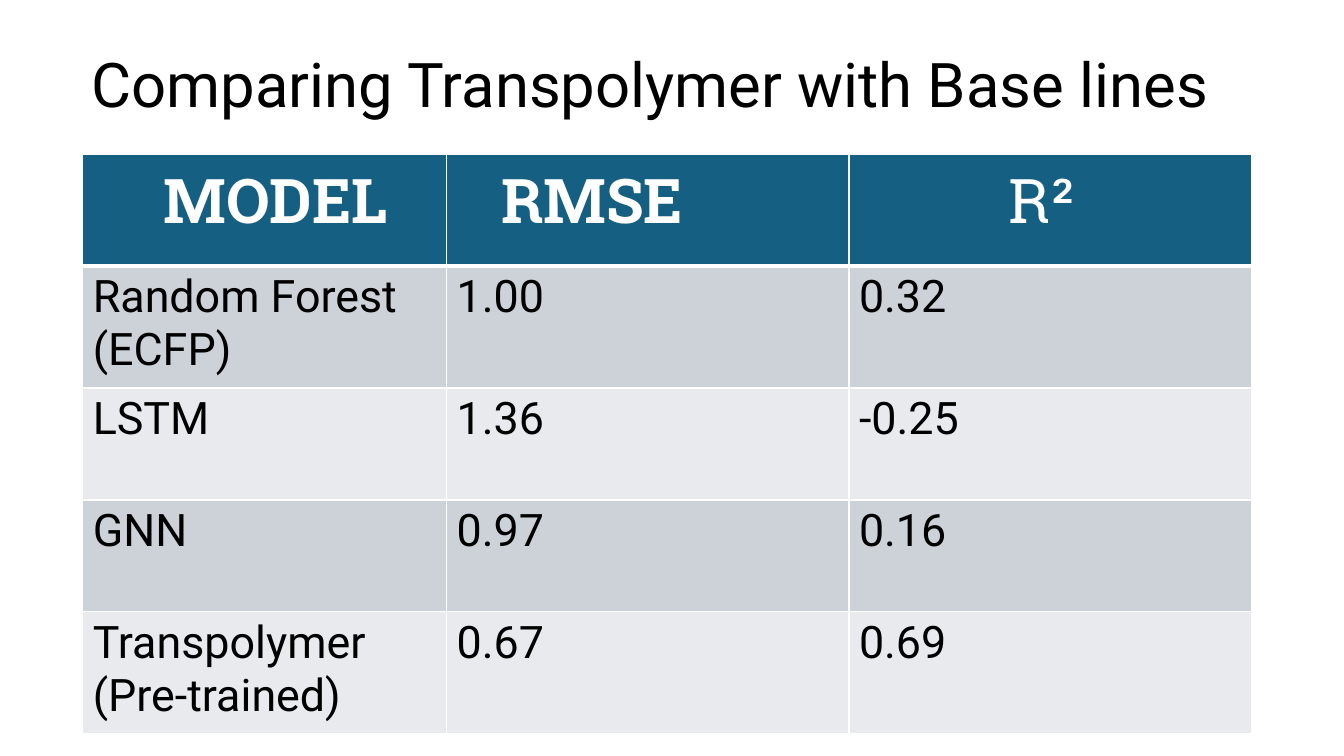
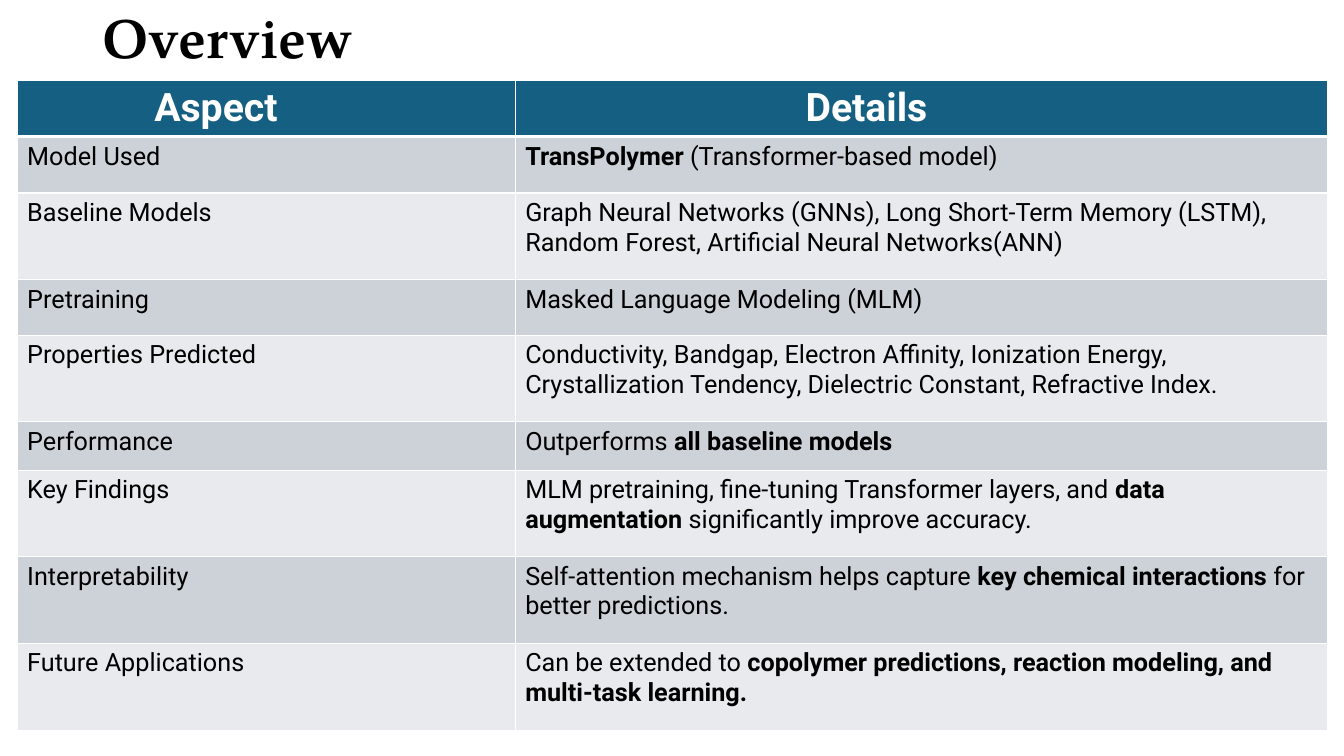
import pptx
import pptx.dml.color
import pptx.enum.text
import pptx.oxml
import pptx.oxml.ns
import pptx.util

Inches = pptx.util.Inches
Pt = pptx.util.Pt
RGBColor = pptx.dml.color.RGBColor

BLACK = RGBColor(0x00, 0x00, 0x00)
WHITE = RGBColor(0xFF, 0xFF, 0xFF)
HEADER_BLUE = RGBColor(0x15, 0x60, 0x82)
BANDS = (RGBColor(0xCC, 0xD2, 0xD8), RGBColor(0xE8, 0xEA, 0xED))
BODY_FONT = "Roboto"
SLAB_FONT = "Roboto Slab"
SERIF_FONT = "TeX Gyre Pagella"


class Deck:
    """Holds the shared style and the current slide."""

    def __init__(self):
        self.presentation = pptx.Presentation()
        self.presentation.slide_width = Inches(13.33)
        self.presentation.slide_height = Inches(7.5)
        self.slide = None

    def set_format(self, target, values):
        for attribute, value in values.items():
            setattr(target, attribute, value)

    def add_text(self, frame, text, size, color, font=BODY_FONT, bold=False):
        for index, line in enumerate(text.split("\n")):
            paragraph = frame.add_paragraph() if index else frame.paragraphs[0]
            for position, part in enumerate(line.split("**")):
                if part:
                    run = paragraph.add_run()
                    run.text = part
                    self.set_format(run.font, {
                        "name": font, "size": Pt(size),
                        "bold": bold or position % 2 == 1})
                    run.font.color.rgb = color

    def add_titled_slide(self, text, box, size, font=BODY_FONT, bold=False):
        self.slide = self.presentation.slides.add_slide(
            self.presentation.slide_layouts[5])
        title = self.slide.shapes.title
        self.set_format(title, dict(zip(
            ("left", "top", "width", "height"), map(Inches, box))))
        self.set_format(title.text_frame, {
            "word_wrap": True,
            "auto_size": pptx.enum.text.MSO_AUTO_SIZE.NONE,
            "vertical_anchor": pptx.enum.text.MSO_ANCHOR.MIDDLE})
        self.add_text(title.text_frame, text, size, BLACK, font, bold)
        self.set_format(title.text_frame.paragraphs[0], {
            "alignment": pptx.enum.text.PP_ALIGN.LEFT, "line_spacing": 0.9})

    def set_borders(self, cell, widths):
        properties = cell._tc.get_or_add_tcPr()
        namespace = pptx.oxml.ns.nsdecls("a")
        for index, (side, width) in enumerate(zip("LRTB", widths)):
            properties.insert(index, pptx.oxml.parse_xml(
                f'<a:ln{side} {namespace} w="{Pt(width)}"><a:solidFill>'
                f'<a:srgbClr val="{WHITE}"/></a:solidFill></a:ln{side}>'))

    def fill_cell(self, cell, color, borders):
        cell.fill.solid()
        cell.fill.fore_color.rgb = color
        self.set_borders(cell, borders)

    def add_table(self, corner, widths, heights, headers, header_style, rows, size):
        left, top = map(Inches, corner)
        table = self.slide.shapes.add_table(
            len(heights), len(widths), left, top,
            Inches(sum(widths)), Inches(sum(heights))).table
        for column, width in zip(table.columns, widths):
            column.width = Inches(width)
        for row, height in zip(table.rows, heights):
            row.height = Inches(height)
        for column, (text, indent, bold) in enumerate(headers):
            cell = table.cell(0, column)
            cell.margin_left = Inches(indent)
            self.fill_cell(cell, HEADER_BLUE, (1, 1, 1, 3))
            self.add_text(cell.text_frame, text, color=WHITE, bold=bold, **header_style)
        for row, texts in enumerate(rows, 1):
            for column, text in enumerate(texts):
                cell = table.cell(row, column)
                self.fill_cell(cell, BANDS[(row - 1) % 2],
                               (1, 1, 3 if row == 1 else 1, 1))
                self.add_text(cell.text_frame, text, size, BLACK)


def main():
    deck = Deck()

    deck.add_titled_slide("Comparing Transpolymer with Base lines",
                          (0.81, 0.4, 11.59, 0.93), 44)
    model_scores = [
        ("Random Forest\n(ECFP)", "1.00", "0.32"),
        ("LSTM", "1.36", "-0.25"),
        ("GNN", "0.97", "0.16"),
        ("Transpolymer\n(Pre-trained)", "0.67", "0.69"),
    ]
    deck.add_table(
        (0.82, 1.53), (3.61, 3.99, 3.99), (1.11, 1.21, 1.11, 1.11, 1.21),
        [("MODEL", 0.8, True), ("RMSE", 0.54, True), ("R²", 1.58, False)],
        {"size": 44, "font": SLAB_FONT}, model_scores, 32)

    deck.add_titled_slide("Overview", (0.92, 0.12, 11.5, 0.57), 39.6,
                          SERIF_FONT, True)
    aspects = [
        ("Model Used", "**TransPolymer** (Transformer-based model)"),
        ("Baseline Models",
         "Graph Neural Networks (GNNs), Long Short-Term Memory (LSTM), "
         "Random Forest, Artificial Neural Networks(ANN)"),
        ("Pretraining", "Masked Language Modeling (MLM)"),
        ("Properties Predicted",
         "Conductivity, Bandgap, Electron Affinity, Ionization Energy, "
         "Crystallization Tendency, Dielectric Constant, Refractive Index."),
        ("Performance", "Outperforms **all baseline models**"),
        ("Key Findings",
         "MLM pretraining, fine-tuning Transformer layers, and "
         "**data augmentation** significantly improve accuracy."),
        ("Interpretability",
         "Self-attention mechanism helps capture "
         "**key chemical interactions** for better predictions."),
        ("Future Applications",
         "Can be extended to **copolymer predictions, reaction modeling, "
         "and multi-task learning.**"),
    ]
    deck.add_table(
        (0.17, 0.8), (4.94, 8.06),
        (0.55, 0.56, 0.86, 0.55, 0.86, 0.48, 0.86, 0.86, 0.86),
        [("Aspect", 1.36, True), ("Details", 2.88, True)],
        {"size": 28}, aspects, 18)

    deck.presentation.save("out.pptx")


if __name__ == "__main__":
    main()
